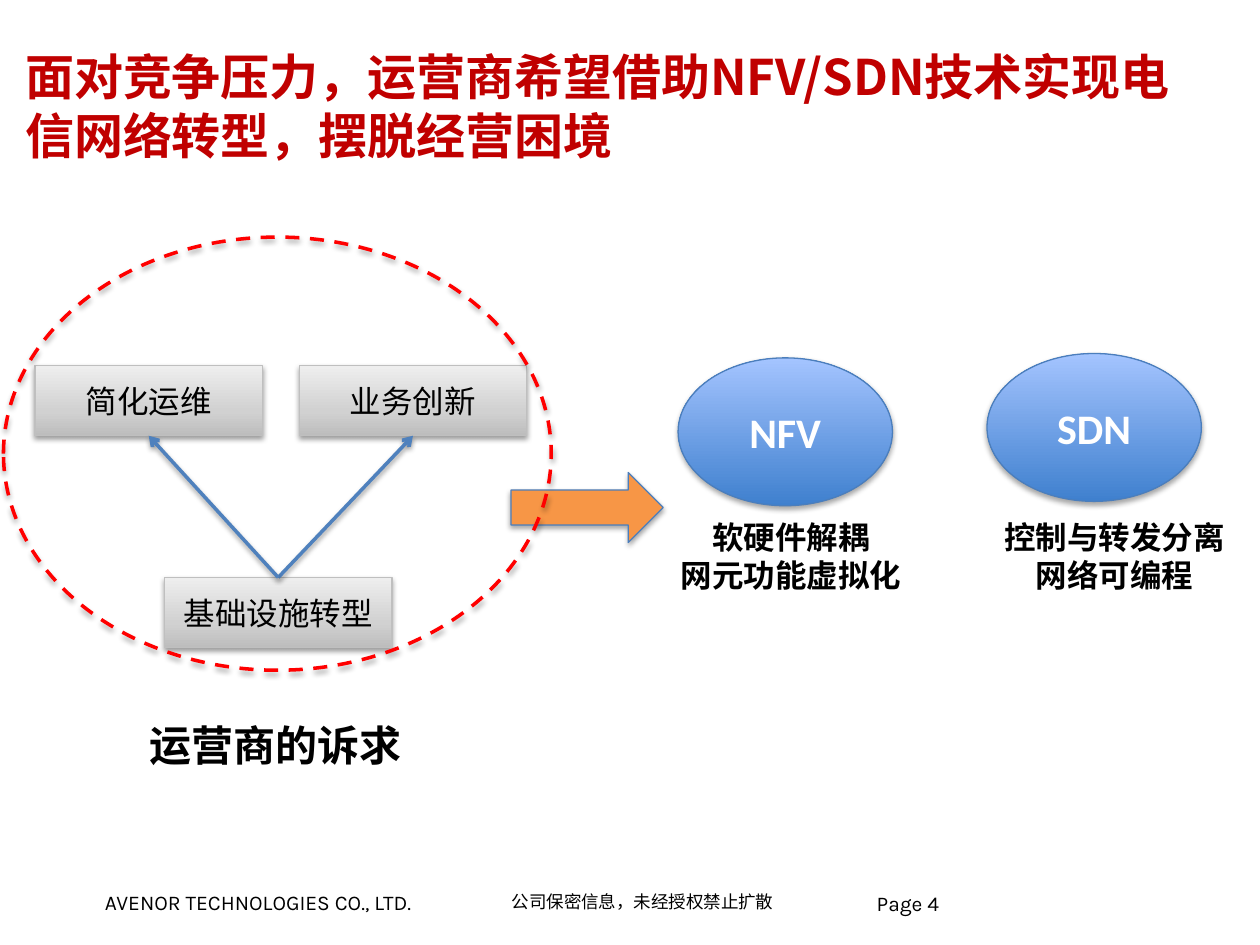
from copy import deepcopy
from dataclasses import dataclass
from lxml.etree import SubElement
from pptx import Presentation
from pptx.dml.color import RGBColor
from pptx.enum.dml import MSO_LINE
from pptx.enum.shapes import MSO_CONNECTOR, MSO_SHAPE
from pptx.enum.text import MSO_ANCHOR, MSO_AUTO_SIZE, PP_ALIGN
from pptx.oxml.ns import qn
from pptx.util import Pt


@dataclass(frozen=True)
class Theme:
    black: str = "000000"
    white: str = "FFFFFF"
    title: str = "C00000"
    ring: str = "FF0000"
    link: str = "4F81BD"
    edge: str = "4B7EBC"
    rim: str = "BFBFBF"
    arrow: str = "F79646"
    gray: tuple = ((0, "BDBDBD"), (0.35, "D1D1D1"), (1, "EEEEEE"))
    blue: tuple = ((0, "3F80CE"), (1, "A4C4FF"))
    sans: str = "Noto Sans CJK SC"
    head: int = 28
    big: int = 24
    body: int = 18
    foot: int = 12
    small: int = 10


@dataclass(frozen=True)
class Box:
    left: float
    top: float
    width: float
    height: float

    def place(self) -> tuple:
        return Pt(self.left), Pt(self.top), Pt(self.width), Pt(self.height)


@dataclass(frozen=True)
class Style:
    size: int
    color: str
    bold: bool = False
    font: str = Theme.sans
    align: PP_ALIGN = PP_ALIGN.LEFT
    pads: tuple = (7.2, 3.6, 7.2, 3.6)
    wrap: bool = False
    anchor: MSO_ANCHOR = MSO_ANCHOR.TOP
    space: float = 1.0


T = Theme()
MID = PP_ALIGN.CENTER


def rgb(code: str) -> RGBColor:
    return RGBColor.from_string(code)


def write(frame, text: str, style: Style) -> None:
    frame.text = text
    frame.word_wrap = style.wrap
    frame.vertical_anchor = style.anchor
    (frame.margin_left, frame.margin_top,
     frame.margin_right, frame.margin_bottom) = map(Pt, style.pads)
    for para in frame.paragraphs:
        para.alignment = style.align
        para.line_spacing = style.space
        for run in para.runs:
            run.font.size = Pt(style.size)
            run.font.bold = style.bold
            run.font.name = style.font
            run.font.color.rgb = rgb(style.color)
            SubElement(run.font._element, qn("a:ea"), typeface=style.font)


def label(slide, box: Box, text: str, style: Style) -> None:
    frame = slide.shapes.add_textbox(*box.place()).text_frame
    write(frame, text, style)
    if not style.wrap:
        frame.auto_size = MSO_AUTO_SIZE.SHAPE_TO_FIT_TEXT


def shade(part, alpha: int, drop: float) -> None:
    props = part._element.spPr
    list_ = props.find(qn("a:effectLst"))
    if list_ is None:
        list_ = SubElement(props, qn("a:effectLst"))
    cast = SubElement(list_, qn("a:outerShdw"), blurRad=str(Pt(3.1)),
                      dist=str(Pt(drop)), dir="5400000", rotWithShape="0")
    tone = SubElement(cast, qn("a:srgbClr"), val=T.black)
    SubElement(tone, qn("a:alpha"), val=str(alpha * 1000))


def blend(shape, stops: tuple) -> None:
    shape.fill.gradient()
    shape.fill.gradient_angle = 90
    list_ = shape._element.spPr.find(qn("a:gradFill")).find(qn("a:gsLst"))
    while len(list_) < len(stops):
        list_.append(deepcopy(list_[0]))
    for stop, (place, code) in zip(shape.fill.gradient_stops, stops):
        stop.position = place
        stop.color.rgb = rgb(code)


def draw(slide, kind, box: Box, line: str, fill=None, width=0.75,
         alpha=35, drop=1.8):
    shape = slide.shapes.add_shape(kind, *box.place())
    shape.shadow.inherit = False
    if fill is None:
        shape.fill.background()
    elif isinstance(fill, tuple):
        blend(shape, fill)
    else:
        shape.fill.solid()
        shape.fill.fore_color.rgb = rgb(fill)
    shape.line.color.rgb = rgb(line)
    shape.line.width = Pt(width)
    shade(shape, alpha, drop)
    return shape


def join(slide, start, end) -> None:
    link = slide.shapes.add_connector(MSO_CONNECTOR.STRAIGHT, 0, 0, 0, 0)
    link.begin_connect(start, 0)
    link.end_connect(end, 2)
    link.line.color.rgb = rgb(T.link)
    link.line.width = Pt(2)
    SubElement(link.line._get_or_add_ln(), qn("a:tailEnd"), type="arrow")
    shade(link, 38, 1.6)


def main() -> None:
    deck = Presentation()
    deck.slide_width, deck.slide_height = Pt(720), Pt(540)
    slide = deck.slides.add_slide(deck.slide_layouts[6])

    # Footer
    label(slide, Box(60, 508.5, 200, 14.4), "AVENOR TECHNOLOGIES CO., LTD.",
          Style(T.foot, T.black, font="Karla", pads=(0, 0, 6.5, 0)))
    label(slide, Box(501, 511, 165, 36), "Page 4",
          Style(T.foot, T.black, font="Karla", pads=(0, 0, 0, 0),
                wrap=True, space=0.85))
    label(slide, Box(286, 509, 164, 12), "公司保密信息，未经授权禁止扩散",
          Style(T.small, T.black, font="Arial", pads=(6.5, 0, 6.5, 0)))

    # Title
    label(slide, Box(14.4, 26, 686, 68.4),
          "面对竞争压力，运营商希望借助NFV/SDN技术实现电信网络转型，摆脱经营困境",
          Style(T.head, T.title, True, pads=(0, 2.9, 6.5, 2.9), wrap=True,
                anchor=MSO_ANCHOR.MIDDLE))

    # Needs: one base box leading to two goals
    plain = Style(T.body, T.black, align=MID, wrap=True,
                  anchor=MSO_ANCHOR.MIDDLE)
    needs = []
    for left, top, text in ((94, 330, "基础设施转型"),
                            (20, 209, "简化运维"), (171, 209, "业务创新")):
        need = draw(slide, MSO_SHAPE.RECTANGLE, Box(left, top, 130, 40),
                    T.rim, T.gray, alpha=38, drop=1.6)
        write(need.text_frame, text, plain)
        needs.append(need)

    # Technologies
    tech = Style(T.big, T.white, True, "Calibri", MID, wrap=True,
                 anchor=MSO_ANCHOR.MIDDLE)
    for left, top, text in ((387.5, 204.5, "NFV"), (564, 202, "SDN")):
        oval = draw(slide, MSO_SHAPE.OVAL, Box(left, top, 122.5, 84.5),
                    T.edge, T.blue)
        write(oval.text_frame, text, tech)

    # Links and block arrow
    base, *goals = needs
    for goal in reversed(goals):
        join(slide, base, goal)
    draw(slide, MSO_SHAPE.RIGHT_ARROW, Box(292, 270, 87, 40), T.edge, T.arrow)

    # Captions
    note = Style(T.body, T.black, True, align=MID)
    for left, text in ((381, "软硬件解耦\n网元功能虚拟化"),
                       (566, "控制与转发分离\n网络可编程")):
        label(slide, Box(left, 292.5, 142, 51), text, note)

    # Dashed ring and its name
    ring = draw(slide, MSO_SHAPE.OVAL, Box(2, 135.5, 313, 247.5), T.ring,
                width=2)
    ring.line.dash_style = MSO_LINE.DASH
    label(slide, Box(78.5, 407.5, 160.5, 36), "运营商的诉求",
          Style(T.big, T.black, True))

    deck.save("out.pptx")


if __name__ == "__main__":
    main()
